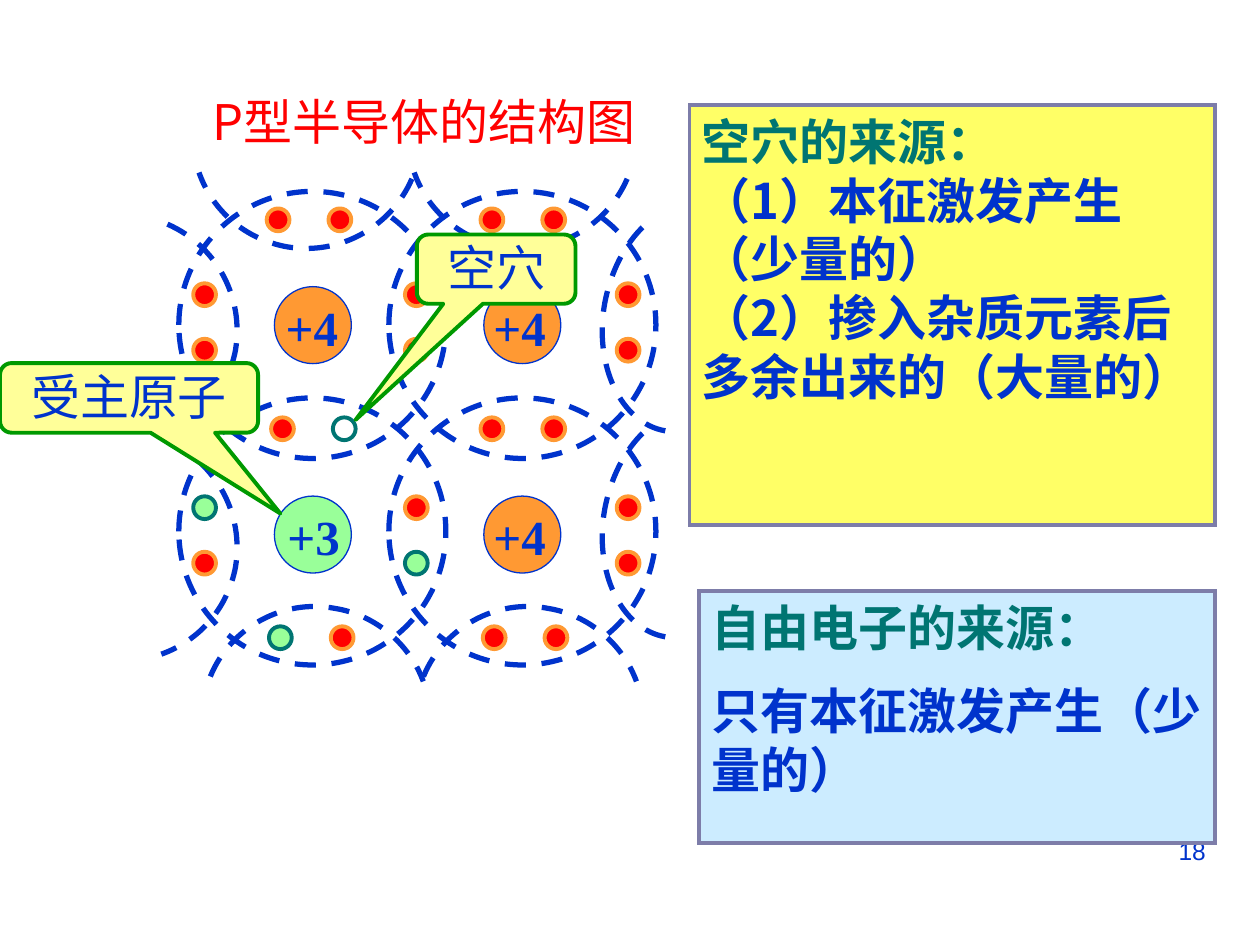
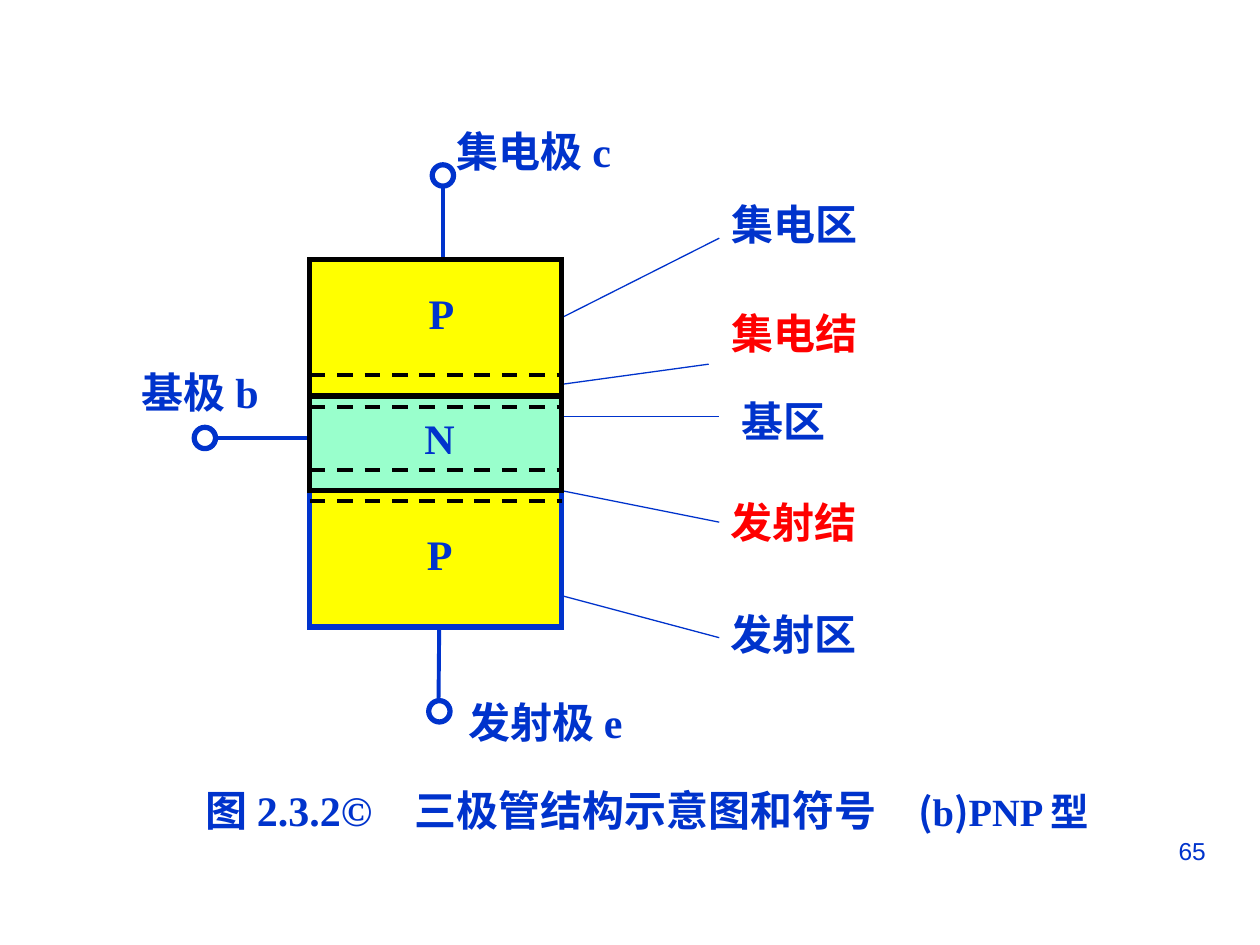
import pptx
import pptx.util
import pptx.dml.color
import pptx.enum.shapes
import pptx.enum.text
import pptx.enum.dml
import pptx.oxml.ns
import lxml.etree

Pt = pptx.util.Pt
RGB = pptx.dml.color.RGBColor
KIND = pptx.enum.shapes.MSO_SHAPE
ALIGN = pptx.enum.text.PP_ALIGN
ANCHOR = pptx.enum.text.MSO_ANCHOR
FIT = pptx.enum.text.MSO_AUTO_SIZE
DASH = pptx.enum.dml.MSO_LINE.DASH
qn = pptx.oxml.ns.qn

BLUE = RGB(0x00, 0x33, 0xCC)
RED = RGB(0xFF, 0x00, 0x00)
TEAL = RGB(0x00, 0x75, 0x72)
ORANGE = RGB(0xFF, 0x99, 0x33)
MINT = RGB(0x99, 0xFF, 0x99)
AQUA = RGB(0x99, 0xFF, 0xCC)
GREEN = RGB(0x00, 0x99, 0x00)
CREAM = RGB(0xFF, 0xFF, 0x99)
LEMON = RGB(0xFF, 0xFF, 0x66)
YELLOW = RGB(0xFF, 0xFF, 0x00)
SKY = RGB(0xCC, 0xEC, 0xFF)
SLATE = RGB(0x7D, 0x7D, 0xA9)
BLACK = RGB(0x00, 0x00, 0x00)
WHITE = RGB(0xFF, 0xFF, 0xFF)

TIMES = "Times New Roman"
HAN_JP = "Noto Sans CJK JP"
HAN_SC = "Noto Sans CJK SC"

ARCS = [
    ([(-6.5, 18.7), (21.6, 31), (37.4, 60.5), (32.4, 90.7),
      (28, 113.8), (12.2, 132.5), (-10, 140.4)], 0, 124),
    ([(278, 136.8), (252.7, 132.5), (237, 99.4), (243.4, 64),
      (247, 44.6), (256.3, 27.4), (268.6, 17.3)], 0, 117.7),
    ([(133.2, -7.2), (121, 20.9), (91.4, 36.7), (61.9, 31.7),
      (38.2, 27.4), (19.4, 11.5), (11.5, -10.8)], 123, 0),
    ([(18, 277.2), (29.5, 249), (59.8, 232.6), (89.3, 238.3),
      (112.3, 242), (131.8, 258.5), (139.7, 280)], 121.8, 0),
]


def write(frame, paras, align=ALIGN.LEFT, anchor=ANCHOR.TOP, gap=0, wrap=True):
    frame.word_wrap = wrap
    frame.vertical_anchor = anchor
    for i, runs in enumerate(paras):
        para = frame.add_paragraph() if i else frame.paragraphs[0]
        para.alignment = align
        para.space_before = Pt(gap if i else 0)
        for text, size, face, color, bold in runs:
            run = para.add_run()
            run.text = text
            font = run.font
            font.size, font.name, font.bold = Pt(size), face, bold
            font.color.rgb = color
            east = lxml.etree.SubElement(run._r.get_or_add_rPr(), qn("a:ea"))
            east.set("typeface", HAN_JP if face == HAN_JP else HAN_SC)


def label(slide, box, *runs, inset=7.2, grow=True, **look):
    frame = slide.shapes.add_textbox(*map(Pt, box)).text_frame
    frame.margin_left = frame.margin_right = Pt(inset)
    write(frame, [runs], **look)
    if grow:
        frame.auto_size = FIT.SHAPE_TO_FIT_TEXT


def stroke(line, color, width, dash=False):
    line.color.rgb = color
    line.width = Pt(width)
    if dash:
        line.dash_style = DASH


def block(slide, kind, box, fill, color, width, dash=False):
    shape = slide.shapes.add_shape(kind, *map(Pt, box))
    shape.shadow.inherit = False
    if fill is None:
        shape.fill.background()
    else:
        shape.fill.solid()
        shape.fill.fore_color.rgb = fill
    stroke(shape.line, color, width, dash)
    if kind == KIND.RECTANGLE:
        edge = shape._element.spPr.find(qn("a:ln"))
        lxml.etree.SubElement(edge, qn("a:miter")).set("lim", "800000")
    return shape


def link(slide, start, end, color, width, dash=False):
    line = slide.shapes.add_connector(
        pptx.enum.shapes.MSO_CONNECTOR.STRAIGHT, *map(Pt, start + end))
    stroke(line.line, color, width, dash)
    lxml.etree.SubElement(line._element.spPr, qn("a:effectLst"))


def arc(slide, left, top, knots):
    grid = [(round((left + x) * 100), round((top + y) * 100)) for x, y in knots]
    pen = slide.shapes.build_freeform(*grid[0], scale=127)
    pen.add_line_segments(grid[1:], close=False)
    shape = pen.convert_to_shape()
    shape.shadow.inherit = False
    shape.fill.background()
    stroke(shape.line, BLUE, 3, True)
    track = next(shape._element.iter(qn("a:path")))
    sides = track.findall(qn("a:lnTo"))
    for i in range(0, len(sides), 3):
        curve = lxml.etree.SubElement(track, qn("a:cubicBezTo"))
        for side in sides[i:i + 3]:
            curve.append(side[0])
            track.remove(side)


def dot(slide, x, y, kind="full"):
    fill, rim = {"full": (RED, ORANGE), "mint": (MINT, TEAL), "hole": (None, TEAL)}[kind]
    block(slide, KIND.OVAL, (x, y, 13, 13), fill, rim, 2.25)


def lattice(slide, left, top):
    cells = [(row, col) for row in range(2) for col in range(2)]
    for row, col in cells:
        block(slide, KIND.OVAL, (left + 120 * col, top + 118 * row, 152.6, 152.6),
              None, BLUE, 3, True)
    for row, col in cells:
        donor = (row, col) == (1, 0)
        x, y = left + 54.6 + 119.7 * col, top + 54.4 + 119.7 * row
        block(slide, KIND.OVAL, (x, y, 44, 44), MINT if donor else ORANGE, BLUE, 0.75)
        nudge = 7.5 if donor else 6.5 - col
        label(slide, (x + nudge, y + 2.5, 44, 41),
              ("+3" if donor else "+4", 28, TIMES, BLUE, True), inset=0)
    for knots, dx, dy in ARCS:
        for i in range(2):
            arc(slide, left + dx * i, top + dy * i, knots)
    for col in range(3):
        for row in range(2):
            for k in range(2):
                kind = "mint" if (col, row, k) in [(0, 1, 0), (1, 1, 1)] else "full"
                dot(slide, left + 8.2 + 121 * col,
                    top + 52.5 + 121.7 * row + 31.7 * k, kind)
    odd = {(1, 0, 1): "hole", (2, 0, 0): "mint"}
    for row in range(3):
        for col in range(2):
            for k in range(2):
                shift = 2.5 if (row, col) == (1, 0) else row // 2 * 1.3
                dot(slide, left + 50.2 + 122.2 * col + 35.3 * k + shift,
                    top + 9.7 + 119.4 * row, odd.get((row, col, k), "full"))
    label(slide, (left, top - 60.8, 280, 41),
          ("P型半导体的结构图", 28, HAN_JP, RED, False),
          align=ALIGN.CENTER, anchor=ANCHOR.BOTTOM)


def bubble(slide, box, tip, text):
    shape = block(slide, KIND.ROUNDED_RECTANGULAR_CALLOUT, box, CREAM, GREEN, 2.25)
    for i, value in enumerate((*tip, 0.167)):
        shape.adjustments[i] = value
    shape.text_frame.margin_top = 0
    write(shape.text_frame, [[(text, 28, "DejaVu Sans", BLUE, False)]], ALIGN.CENTER)


def panel(slide, box, fill, head, lines, gap=0):
    shape = block(slide, KIND.RECTANGLE, box, fill, SLATE, 2.25)
    paras = [[(head, 28, HAN_JP, TEAL, True)]]
    paras += [[(line, 28, HAN_SC, BLUE, True)] for line in lines]
    write(shape.text_frame, paras, gap=gap)


def stack(slide, left, top):
    width, thick, thin = 144, 78, 54
    for start, end in [((74, 210), (73.5, 260)), ((0, 102), (-54, 102)),
                       ((76, 0), (76, -48))]:
        link(slide, (left + start[0], top + start[1]),
             (left + end[0], top + end[1]), BLUE, 2.25)
    for x, y in [(70, -54.2), (-66, 95.8), (68, 252)]:
        block(slide, KIND.OVAL, (left + x, top + y, 12.2, 12.2), WHITE, BLUE, 3)
    for y, high, fill, rim in [(0, thick, YELLOW, BLACK),
                               (thick + thin, thick, YELLOW, BLUE),
                               (thick, thin, AQUA, BLACK)]:
        block(slide, KIND.RECTANGLE, (left, top + y, width, high), fill, rim, 3)
    for joint in (thick, thick + thin):
        for y in (joint - 12, joint + 6):
            link(slide, (left, top + y), (left + width, top + y), BLACK, 2.25, True)
    for text, x, y in [("P", 75.3, 30.2), ("P", 74.3, 168), ("N", 74.2, 102)]:
        label(slide, (left + x - 16, top + y - 18, 32, 36),
              (text, 24, TIMES, BLUE, True),
              align=ALIGN.CENTER, anchor=ANCHOR.MIDDLE, wrap=False)


def legend(slide, left, top):
    for text, color, x, y, width in [
            ("集电区", BLUE, 234, -38.3, 173.5), ("集电结", RED, 233.8, 23.7, 162),
            ("基区", BLUE, 239.6, 74.3, 119.5), ("发射结", RED, 233.5, 131.7, 126),
            ("发射区", BLUE, 233.5, 195.8, 155.5), ("集电极 c", BLUE, 77, -80.5, 150.5),
            ("发射极 e", BLUE, 83.5, 246, 126), ("基极 b", BLUE, -103, 57.5, 121)]:
        label(slide, (left + x, top + y, width, 36),
              (text, 24, TIMES, color, True), anchor=ANCHOR.MIDDLE)
    for x, y, x2, y2 in [(138.3, 36, 234, -12.3), (138.3, 72, 228, 59.7),
                         (138.3, 89.8, 234, 89.8), (144, 132, 234, 150),
                         (144, 192, 234, 216)]:
        link(slide, (left + x, top + y), (left + x2, top + y2), BLUE, 0.75)


def number(slide, text):
    label(slide, (516.2, 474, 180, 37.4), (text, 14, "Arial", BLUE, False),
          align=ALIGN.RIGHT, grow=False)


def holes(deck):
    slide = deck.slides.add_slide(deck.slide_layouts[6])
    number(slide, "18")
    lattice(slide, 102.2, 109.4)
    bubble(slide, (238.2, 134, 90.7, 39.6), (-0.886, 2.176), "空穴")
    bubble(slide, (0, 207.5, 147.5, 39.8), (0.586, 1.66), "受主原子")
    panel(slide, (399.6, 337.7, 294.5, 144), SKY, "自由电子的来源：",
          ["只有本征激发产生（少量的）"], gap=14)
    panel(slide, (394, 60, 300.4, 240), LEMON, "空穴的来源：",
          ["（1）本征激发产生（少量的）", "（2）掺入杂质元素后多余出来的（大量的）"])


def triode(deck):
    slide = deck.slides.add_slide(deck.slide_layouts[6])
    number(slide, "65")
    legend(slide, 177, 148.4)
    stack(slide, 177, 148.4)
    label(slide, (110.2, 445, 540, 36),
          ("图 2.3.2©　三极管结构示意图和符号　", 24, TIMES, BLUE, True),
          ("(", 22, HAN_SC, BLUE, True), ("b", 22, TIMES, BLUE, True),
          (")", 22, HAN_SC, BLUE, True), ("PNP 型", 22, TIMES, BLUE, True))


def main():
    deck = pptx.Presentation()
    deck.slide_width, deck.slide_height = Pt(720), Pt(540)
    holes(deck)
    triode(deck)
    deck.save("out.pptx")


if __name__ == "__main__":
    main()
